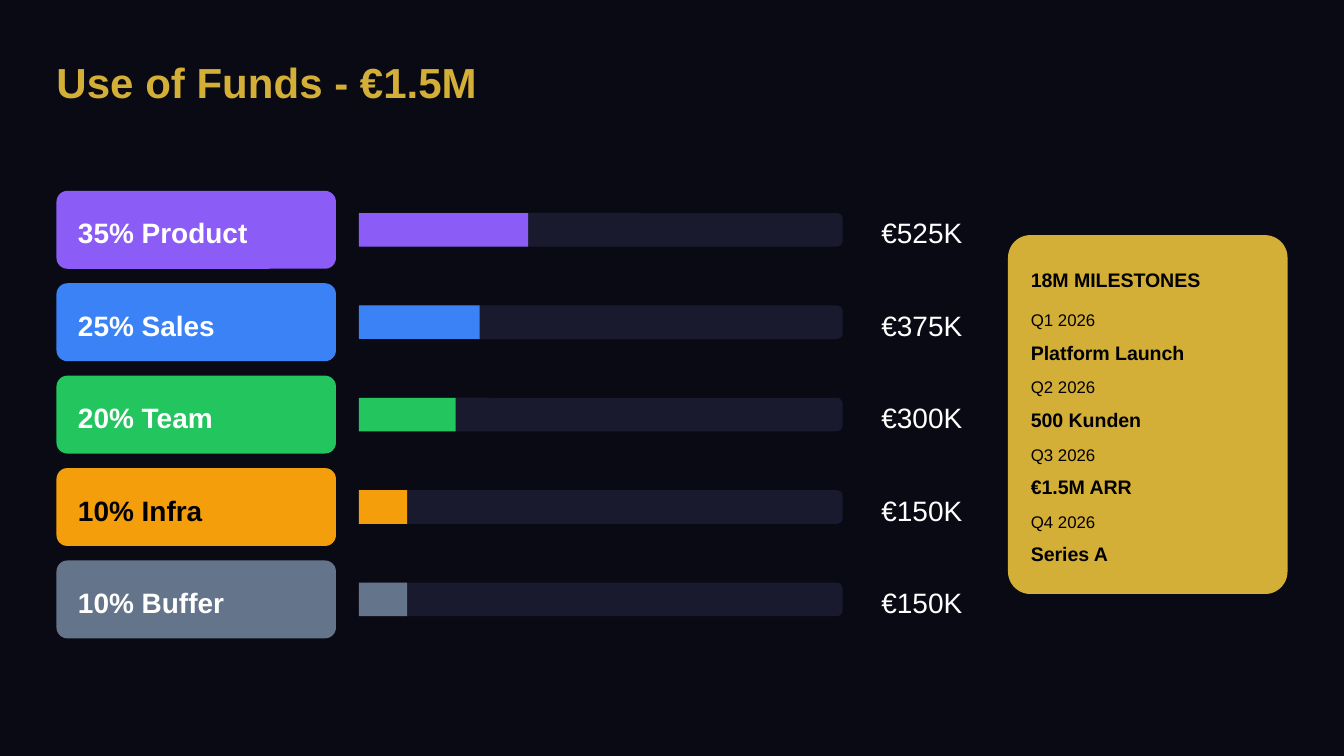
from dataclasses import dataclass

import pptx
import pptx.dml.color
import pptx.enum.shapes
import pptx.enum.text
import pptx.util

Inches = pptx.util.Inches
Align = pptx.enum.text.PP_ALIGN
Preset = pptx.enum.shapes.MSO_SHAPE


@dataclass(frozen=True)
class TextStyle:
    size: float
    line: float
    before: float = 3
    after: float = 3
    bold: bool = False


@dataclass(frozen=True)
class Theme:
    font: str = "Arial"
    background: str = "0A0A15"
    gold: str = "D4AF37"
    track: str = "1A1A2E"
    light: str = "FFFFFF"
    dark: str = "000000"
    purple: str = "8B5CF6"
    blue: str = "3B82F6"
    green: str = "22C55E"
    orange: str = "F59E0B"
    slate: str = "64748B"
    title: TextStyle = TextStyle(22.5, 27, before=0, after=15, bold=True)
    label: TextStyle = TextStyle(15, 21, bold=True)
    amount: TextStyle = TextStyle(15, 21)
    heading: TextStyle = TextStyle(10.5, 15, after=9, bold=True)
    quarter: TextStyle = TextStyle(9, 12)
    goal: TextStyle = TextStyle(10.5, 15, bold=True)


THEME = Theme()


@dataclass(frozen=True)
class Box:
    left: float
    top: float
    width: float
    height: float

    def lengths(self) -> tuple:
        return tuple(Inches(value) for value in (self.left, self.top, self.width, self.height))


@dataclass(frozen=True)
class Fund:
    name: str
    percent: int
    amount: str
    color: str
    text_color: str = THEME.light


@dataclass(frozen=True)
class Milestone:
    quarter: str
    goal: str


FUNDS = [
    Fund("Product", 35, "€525K", THEME.purple),
    Fund("Sales", 25, "€375K", THEME.blue),
    Fund("Team", 20, "€300K", THEME.green),
    Fund("Infra", 10, "€150K", THEME.orange, text_color=THEME.dark),
    Fund("Buffer", 10, "€150K", THEME.slate),
]
MILESTONES = [
    Milestone("Q1 2026", "Platform Launch"),
    Milestone("Q2 2026", "500 Kunden"),
    Milestone("Q3 2026", "€1.5M ARR"),
    Milestone("Q4 2026", "Series A"),
]
SLIDE_WIDTH = 10
SLIDE_HEIGHT = SLIDE_WIDTH * 9 / 16
FIRST_FUND_TOP, LAST_FUND_TOP = 1.42, 4.17
FUND_PITCH = (LAST_FUND_TOP - FIRST_FUND_TOP) / (len(FUNDS) - 1)
LABEL_HEIGHT, FUND_TEXT_HEIGHT = 0.58, 0.29
TRACK_LEFT, TRACK_WIDTH, TRACK_HEIGHT = 2.67, 3.6, 0.25
MILESTONE_LEFT, MILESTONE_WIDTH = 7.67, 1.78
FIRST_MILESTONE_TOP, MILESTONE_PITCH = 2.29, 0.5


def rgb(color: str) -> pptx.dml.color.RGBColor:
    return pptx.dml.color.RGBColor.from_string(color)


def write_text(shape, text: str, style: TextStyle, color: str, align=Align.LEFT) -> None:
    frame = shape.text_frame
    frame.word_wrap = True
    frame.auto_size = pptx.enum.text.MSO_AUTO_SIZE.NONE
    frame.vertical_anchor = pptx.enum.text.MSO_ANCHOR.TOP
    frame.margin_left = frame.margin_right = frame.margin_top = frame.margin_bottom = 0
    paragraph = frame.paragraphs[0]
    paragraph.alignment = align
    paragraph.line_spacing = pptx.util.Pt(style.line)
    paragraph.space_before = pptx.util.Pt(style.before)
    paragraph.space_after = pptx.util.Pt(style.after)
    run = paragraph.add_run()
    run.text = text
    run.font.name = THEME.font
    run.font.size = pptx.util.Pt(style.size)
    run.font.bold = style.bold
    run.font.color.rgb = rgb(color)


def add_text(slide, box: Box, text: str, style: TextStyle, color: str, align=Align.LEFT) -> None:
    write_text(slide.shapes.add_textbox(*box.lengths()), text, style, color, align)


def add_block(slide, box: Box, color: str, rounding: float = 0) -> None:
    preset = Preset.ROUNDED_RECTANGLE if rounding else Preset.RECTANGLE
    shape = slide.shapes.add_shape(preset, *box.lengths())
    if rounding:
        shape.adjustments[0] = rounding
    shape.fill.solid()
    shape.fill.fore_color.rgb = rgb(color)
    shape.line.fill.background()
    shape.shadow.inherit = False


def add_title(slide, text: str) -> None:
    title = slide.shapes.title
    title.left, title.top, title.width, title.height = Box(0.42, 0.42, 4.69, 0.38).lengths()
    write_text(title, text, THEME.title, THEME.gold)


def add_fund(slide, fund: Fund, top: float) -> None:
    # Coloured label
    add_block(slide, Box(0.42, top, 2.08, LABEL_HEIGHT), fund.color, rounding=0.14)
    text_top = top + (LABEL_HEIGHT - FUND_TEXT_HEIGHT) / 2
    add_text(slide, Box(0.58, text_top, 1.78, FUND_TEXT_HEIGHT), f"{fund.percent}% {fund.name}",
             THEME.label, fund.text_color)
    # Track with the share filled in
    track_top = top + (LABEL_HEIGHT - TRACK_HEIGHT) / 2
    add_block(slide, Box(TRACK_LEFT, track_top, TRACK_WIDTH, TRACK_HEIGHT), THEME.track, rounding=0.17)
    share_width = TRACK_WIDTH * fund.percent / 100
    add_block(slide, Box(TRACK_LEFT, track_top, share_width, TRACK_HEIGHT), fund.color)
    # Amount
    add_text(slide, Box(6.42, text_top, 0.74, FUND_TEXT_HEIGHT), fund.amount,
             THEME.amount, THEME.light, Align.RIGHT)


def add_milestone(slide, milestone: Milestone, top: float) -> None:
    add_text(slide, Box(MILESTONE_LEFT, top, MILESTONE_WIDTH, 0.17), milestone.quarter,
             THEME.quarter, THEME.dark)
    add_text(slide, Box(MILESTONE_LEFT, top + 0.21, MILESTONE_WIDTH, 0.21), milestone.goal,
             THEME.goal, THEME.dark)


def main() -> None:
    presentation = pptx.Presentation()
    presentation.slide_width = Inches(SLIDE_WIDTH)
    presentation.slide_height = Inches(SLIDE_HEIGHT)
    slide = presentation.slides.add_slide(presentation.slide_layouts.get_by_name("Title Only"))
    slide.background.fill.solid()
    slide.background.fill.fore_color.rgb = rgb(THEME.background)

    add_title(slide, "Use of Funds - €1.5M")

    # Fund rows
    for index, fund in enumerate(FUNDS):
        add_fund(slide, fund, FIRST_FUND_TOP + index * FUND_PITCH)

    # Milestone card
    add_block(slide, Box(7.5, 1.75, 2.08, 2.67), THEME.gold, rounding=0.08)
    add_text(slide, Box(MILESTONE_LEFT, 1.96, MILESTONE_WIDTH, 0.21), "18M MILESTONES",
             THEME.heading, THEME.dark)
    for index, milestone in enumerate(MILESTONES):
        add_milestone(slide, milestone, FIRST_MILESTONE_TOP + index * MILESTONE_PITCH)

    presentation.save("out.pptx")


if __name__ == "__main__":
    main()
